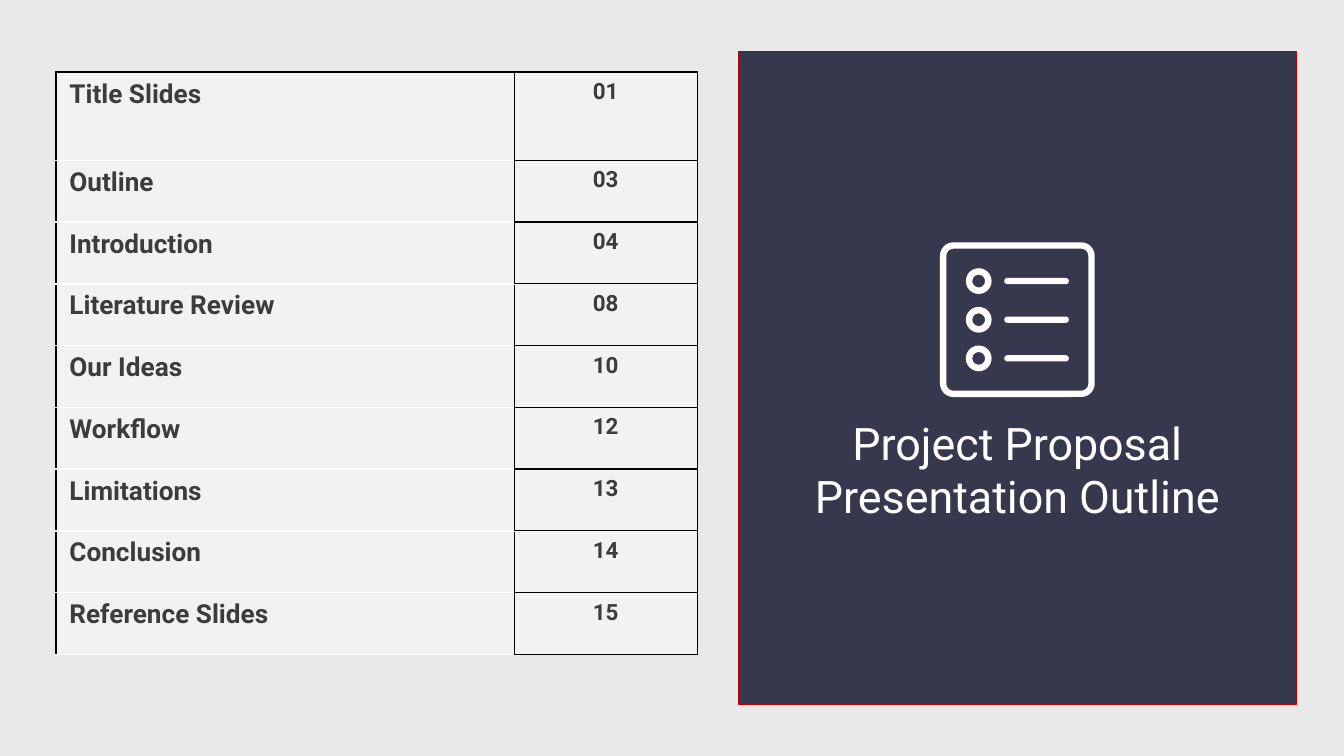
from lxml.etree import SubElement
from pptx import Presentation
from pptx.dml.color import RGBColor
from pptx.enum.shapes import MSO_SHAPE as Shape
from pptx.enum.text import MSO_ANCHOR as Anchor, MSO_AUTO_SIZE as AutoSize, PP_ALIGN as Align
from pptx.oxml.ns import qn
from pptx.util import Pt

COLORS = {
    "background": "E9E9E9", "panel": "36384E", "panel_line": "C00000",
    "cell": "F2F2F2", "text": "3C3C3C", "black": "000000", "white": "FFFFFF",
}
FONT = "Roboto"


def rgb(name):
    return RGBColor.from_string(COLORS[name])


def add_part(kind, left, top, width, height, fill=None, line=None, weight=0.75):
    """Add a preset shape; without a fill or line colour that part is clear."""
    part = slide.shapes.add_shape(kind, Pt(left), Pt(top), Pt(width), Pt(height))
    part.shadow.inherit = False
    if fill:
        part.fill.solid()
        part.fill.fore_color.rgb = rgb(fill)
    else:
        part.fill.background()
    if line:
        part.line.color.rgb = rgb(line)
        part.line.width = Pt(weight)
    else:
        part.line.fill.background()
    return part


prs = Presentation()
prs.slide_width, prs.slide_height = Pt(720), Pt(405)
slide = prs.slides.add_slide(prs.slide_layouts[5])
slide.background.fill.solid()
slide.background.fill.fore_color.rgb = rgb("background")

# Dark panel on the right
add_part(Shape.RECTANGLE, 395.5, 27.75, 299, 349.5, "panel", "panel_line")

# Outline table: section and page number
sections = [
    ("Title Slides", "01"), ("Outline", "03"), ("Introduction", "04"),
    ("Literature Review", "08"), ("Our Ideas", "10"), ("Workflow", "12"),
    ("Limitations", "13"), ("Conclusion", "14"), ("Reference Slides", "15"),
]
outline = slide.shapes.add_table(
    len(sections), 2, Pt(30), Pt(38.6), Pt(343.5), Pt(312)).table
outline.first_row = outline.horz_banding = False
outline.columns[0].width, outline.columns[1].width = Pt(245.5), Pt(98)

for row, section in enumerate(sections):
    outline.rows[row].height = Pt(33.1 if row else 47.3)
    for column, wording in enumerate(section):
        cell = outline.cell(row, column)

        # Black borders, but white rules between the section names
        top = "white" if column == 0 and row else "black"
        bottom = "white" if column == 0 else "black"
        cell_props = cell._tc.get_or_add_tcPr()
        for side, color in (("L", "black"), ("R", "black"), ("T", top), ("B", bottom)):
            weight = 0.96 if color == "white" else 0.75
            border = SubElement(cell_props, qn(f"a:ln{side}"), w=str(int(Pt(weight))))
            border_fill = SubElement(border, qn("a:solidFill"))
            SubElement(border_fill, qn("a:srgbClr"), val=COLORS[color])
        cell.fill.solid()
        cell.fill.fore_color.rgb = rgb("cell")

        paragraph = cell.text_frame.paragraphs[0]
        paragraph.alignment = Align.CENTER if column else Align.LEFT
        run = paragraph.add_run()
        run.text = wording
        run.font.name, run.font.bold = FONT, True
        run.font.size = Pt(12 if column else 14)
        run.font.color.rgb = rgb("text")

# List icon: rounded frame with three rings and bars
frame = add_part(Shape.ROUNDED_RECTANGLE, 505.25, 131.5, 79.5, 79.5,
                 line="white", weight=3.4)
frame.adjustments[0] = 0.07
for item in range(3):
    middle = 150.6 + item * 20.7
    ring = add_part(Shape.DONUT, 517.4, middle - 6.9, 13.8, 13.8, "white")
    ring.adjustments[0] = 0.25
    bar = add_part(Shape.ROUNDED_RECTANGLE, 538, middle - 1.7, 34.6, 3.4, "white")
    bar.adjustments[0] = 0.5

# Title below the icon, brought in front of the panel
title = slide.shapes.title
title.left, title.top, title.width, title.height = Pt(413), Pt(222.5), Pt(264), Pt(57.5)
title.element.getparent().append(title.element)
heading = title.text_frame
heading.word_wrap = True
heading.auto_size = AutoSize.NONE
heading.vertical_anchor = Anchor.MIDDLE
heading.margin_left = heading.margin_right = heading.margin_top = heading.margin_bottom = 0
heading.paragraphs[0].alignment = Align.CENTER
run = heading.paragraphs[0].add_run()
run.text = "Project Proposal Presentation Outline"
run.font.name, run.font.size = FONT, Pt(24)
run.font.color.rgb = rgb("white")

prs.save("out.pptx")
